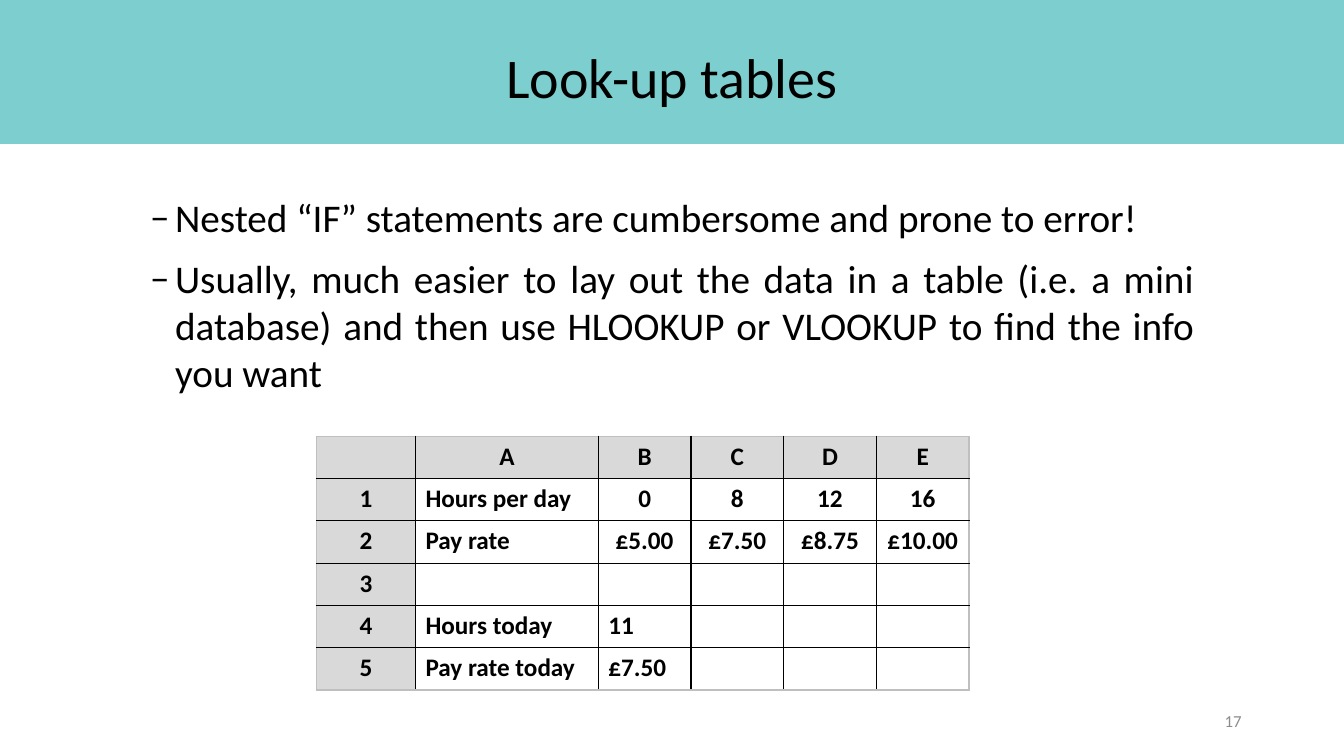
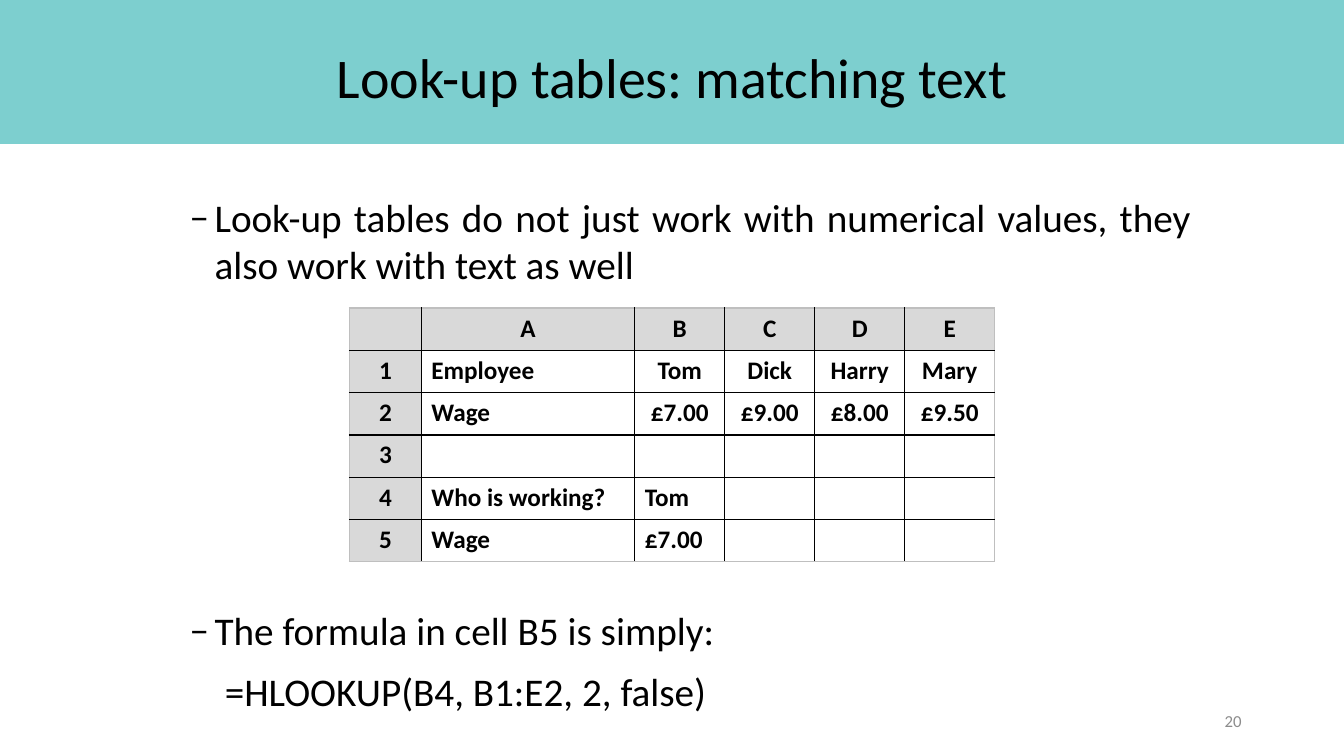
from lxml import etree
from pptx import Presentation
from pptx.dml.color import RGBColor
from pptx.enum import shapes, text
from pptx.oxml import ns
from pptx.util import Pt

FONT = "Calibri"
TEAL = RGBColor(0x7D, 0xCF, 0xCF)
BLACK = RGBColor(0, 0, 0)
WHITE = RGBColor(0xFF, 0xFF, 0xFF)
HEADER = RGBColor(0xD9, 0xD9, 0xD9)
EDGE = RGBColor(0xBF, 0xBF, 0xBF)
MUTED = RGBColor(0x8C, 0x8C, 0x8C)
AL = text.PP_ALIGN

WIDTH, HEIGHT = 960, 540
ROW_H = 30.24
HANG, BULLET_INDENT = 18, -22.3
FORMULA_INDENT = 25.3

# Content: boxes hold (left, top, width, height) and (text, bulleted) lines
SLIDES = [
    dict(
        title="Look-up tables", number="17",
        boxes=[
            ((100, 134.6, 760, 157), [
                ("Nested “IF” statements are cumbersome and prone to error!", True),
                ("Usually, much easier to lay out the data in a table (i.e. a mini "
                 "database) and then use HLOOKUP or VLOOKUP to find the info "
                 "you want", True)]),
        ],
        table_at=(226.2, 311.6), widths=(70.6, 130.6, 66.2),
        rows=[("Hours per day", "0", "8", "12", "16"),
              ("Pay rate", "£5.00", "£7.50", "£8.75", "£10.00"),
              (),
              ("Hours today", "11"),
              ("Pay rate today", "£7.50")],
    ),
    dict(
        title="Look-up tables: matching text", number="20",
        boxes=[
            ((128.2, 134.6, 729.4, 80), [
                ("Look-up tables do not just work with numerical values, they "
                 "also work with text as well", True)]),
            ((128.2, 429.6, 729.4, 88), [
                ("The formula in cell B5 is simply:", True),
                ("=HLOOKUP(B4, B1:E2, 2, false)", False)]),
        ],
        table_at=(249.6, 220), widths=(51.4, 152.4, 64.3),
        rows=[("Employee", "Tom", "Dick", "Harry", "Mary"),
              ("Wage", "£7.00", "£9.00", "£8.00", "£9.50"),
              (),
              ("Who is working?", "Tom"),
              ("Wage", "£7.00")],
    ),
]
COLUMNS = "ABCDE"
LOOKUP_ROWS = 2  # rows that hold centred look-up data


def write(p, words, size, color=BLACK, bold=False, **layout):
    r = p.add_run()
    r.text = words
    for name, value in dict(name=FONT, size=Pt(size), bold=bold).items():
        setattr(r.font, name, value)
    r.font.color.rgb = color
    for name, value in layout.items():
        setattr(p, name, value)


def text_box(s, at, anchor):
    tf = s.shapes.add_textbox(*map(Pt, at)).text_frame
    tf.word_wrap = True
    tf.vertical_anchor = anchor
    return tf


def add_frame(s, title, number):
    band = s.shapes.add_shape(shapes.MSO_SHAPE.RECTANGLE,
                              0, Pt(-2.2), Pt(WIDTH), Pt(105))
    band.shadow.inherit = False
    band.fill.solid()
    band.fill.fore_color.rgb = TEAL
    band.line.fill.background()
    middle = text.MSO_ANCHOR.MIDDLE
    tf = text_box(s, (66, 29.5, 828, 55.4), middle)
    write(tf.paragraphs[0], title, 40, alignment=AL.CENTER, line_spacing=0.9)
    tf = text_box(s, (678, 500.4, 216, 28.8), middle)
    write(tf.paragraphs[0], number, 12, MUTED, alignment=AL.RIGHT)


def add_body(s, at, lines):
    tf = text_box(s, at, text.MSO_ANCHOR.TOP)
    for i, (words, bulleted) in enumerate(lines):
        p = tf.add_paragraph() if i else tf.paragraphs[0]
        write(p, words, 28, alignment=AL.JUSTIFY if bulleted else AL.LEFT,
              space_before=Pt(10 if i else 0))
        pPr = p._p.get_or_add_pPr()
        pPr.set("marL", str(Pt(HANG if bulleted else FORMULA_INDENT)))
        pPr.set("indent", str(Pt(BULLET_INDENT if bulleted else 0)))
        if bulleted:
            etree.SubElement(pPr, ns.qn("a:buFont"), typeface=FONT)
            etree.SubElement(pPr, ns.qn("a:buChar"), char="‒")


def add_borders(cell, colors):
    tcPr = cell._tc.get_or_add_tcPr()
    for side, color in colors.items():
        ln = etree.SubElement(tcPr, ns.qn("a:ln" + side), w=str(Pt(1)))
        fill = etree.SubElement(ln, ns.qn("a:solidFill"))
        etree.SubElement(fill, ns.qn("a:srgbClr"), val=str(color))


def add_sheet(s, at, widths, rows):
    # Column letters on top, row numbers on the left
    grid = [("", *COLUMNS)]
    grid += [(str(n), *row) for n, row in enumerate(rows, 1)]
    n_rows, n_cols = len(grid), len(COLUMNS) + 1
    first, label, value = widths
    col_widths = [first, label] + [value] * (n_cols - 2)
    table = s.shapes.add_table(n_rows, n_cols, *map(Pt, at), Pt(sum(col_widths)),
                               Pt(ROW_H * n_rows)).table
    table.first_row = table.horz_banding = False
    for col, width in zip(table.columns, col_widths):
        col.width = Pt(width)
    for i, row in enumerate(grid):
        table.rows[i].height = Pt(ROW_H)
        for j in range(n_cols):
            cell = table.cell(i, j)
            outer = dict(L=j == 0, R=j == n_cols - 1, T=i == 0, B=i == n_rows - 1)
            add_borders(cell, {k: EDGE if edge else BLACK for k, edge in outer.items()})
            heading = i == 0 or j == 0
            cell.fill.solid()
            cell.fill.fore_color.rgb = HEADER if heading else WHITE
            if j < len(row) and row[j]:
                centred = heading or (j > 1 and i <= LOOKUP_ROWS)
                write(cell.text_frame.paragraphs[0], row[j], 18, bold=True,
                      alignment=AL.CENTER if centred else AL.LEFT)


def main():
    prs = Presentation()
    prs.slide_width, prs.slide_height = Pt(WIDTH), Pt(HEIGHT)
    for page in SLIDES:
        s = prs.slides.add_slide(prs.slide_layouts[6])
        add_frame(s, page["title"], page["number"])
        for at, lines in page["boxes"]:
            add_body(s, at, lines)
        add_sheet(s, page["table_at"], page["widths"], page["rows"])
    prs.save("out.pptx")


if __name__ == "__main__":
    main()
